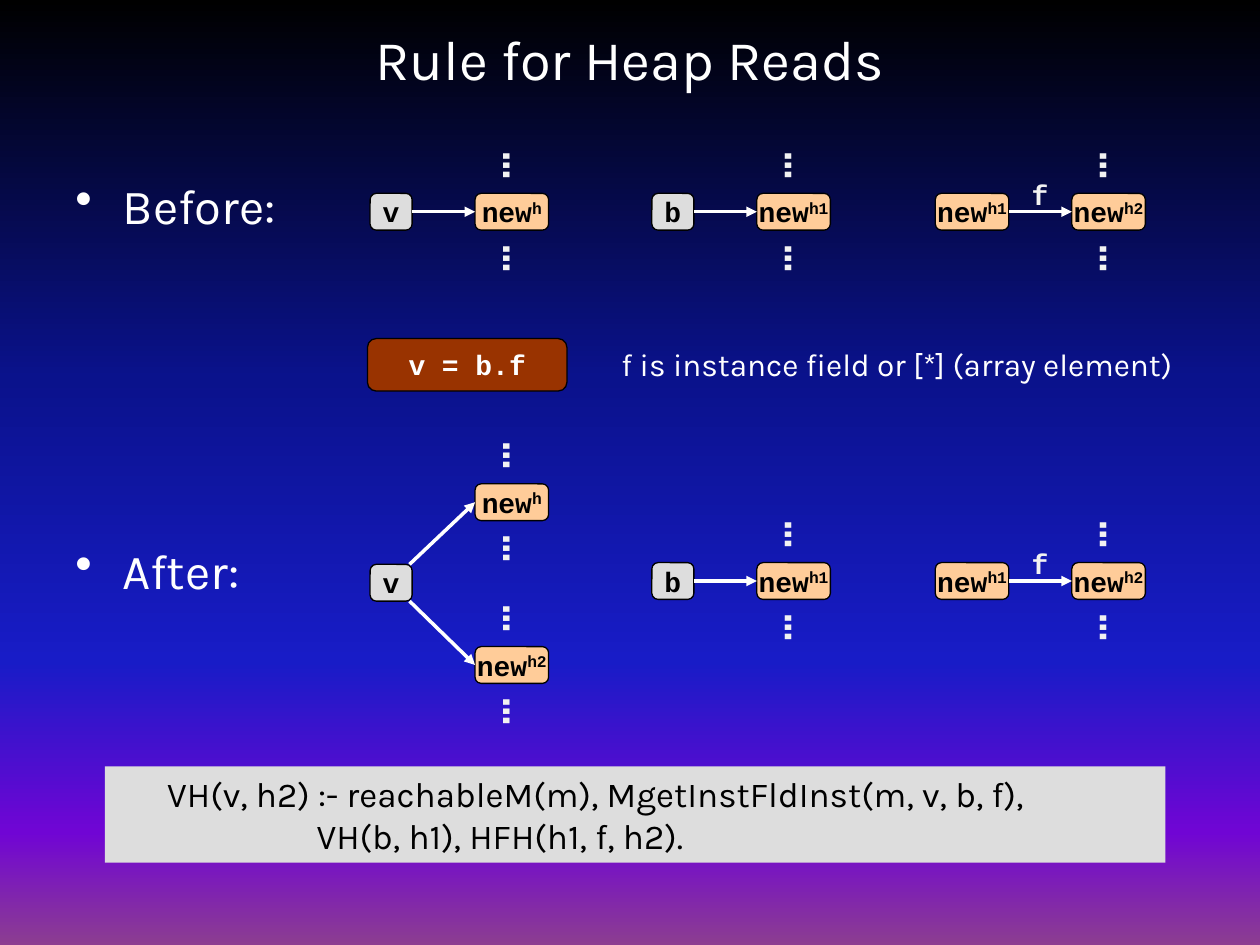
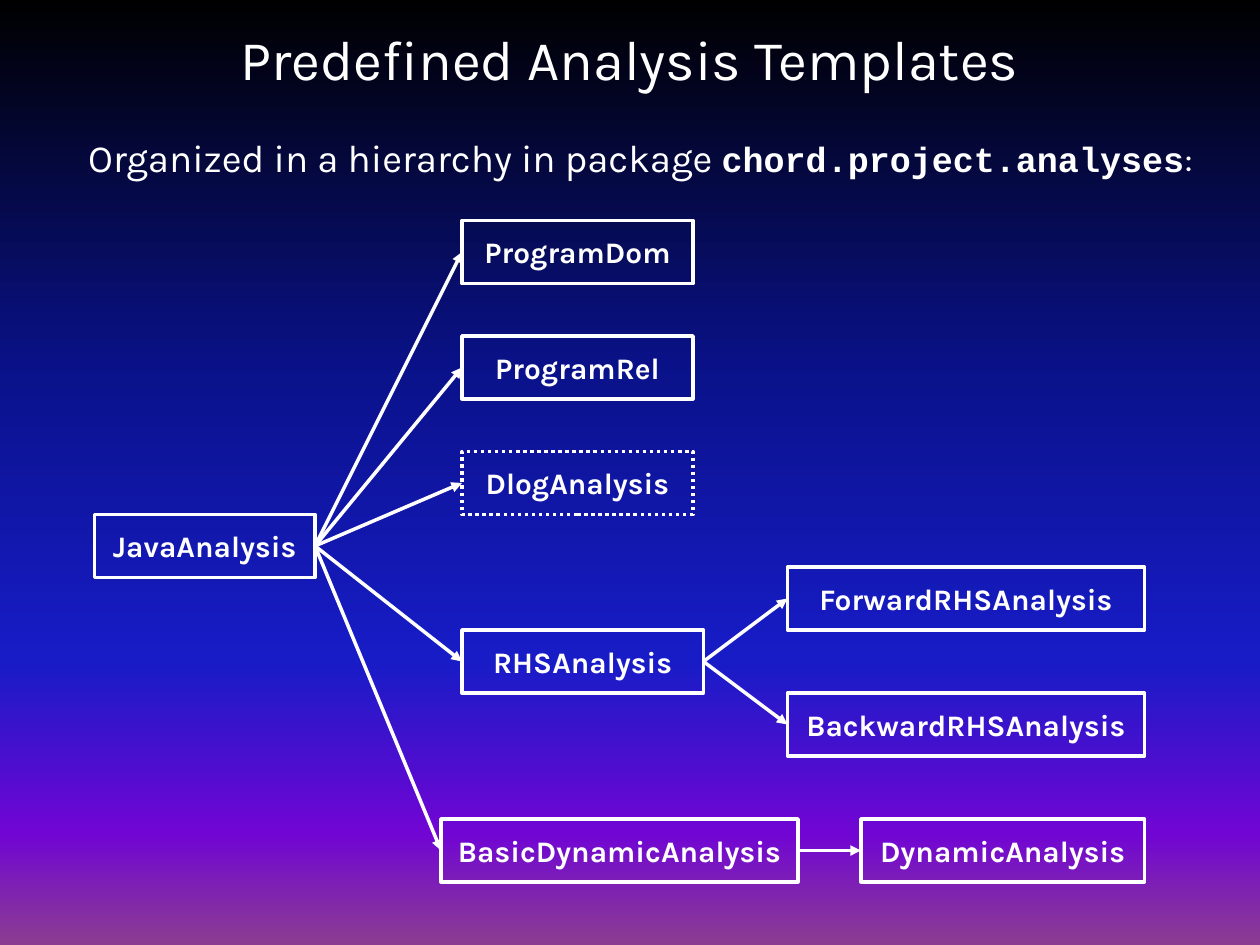
from lxml.etree import SubElement
from pptx import Presentation
from pptx.dml.color import RGBColor
from pptx.enum.dml import MSO_LINE
from pptx.enum.shapes import MSO_CONNECTOR, MSO_SHAPE
from pptx.enum.text import MSO_ANCHOR, PP_ALIGN
from pptx.oxml.ns import qn
from pptx.util import Pt

COLORS = {
    "white": "FFFFFF", "black": "000000", "soft": "F2F2F2", "grey": "DDDDDD",
    "peach": "FFCC99", "rust": "993300",
}
BACKDROP = [(0, "000000"), (40, "0A128C"), (70, "181CC7"), (88, "7005D4"), (100, "8C3D91")]
SANS, CODE = "Karla", "Courier New"
TOP, LEFT, BOTTOM, RIGHT = range(4)
NODE_HEIGHT, VARIABLE_WIDTH, OBJECT_WIDTH, ARROW_LENGTH = 21, 24, 42, 36


def color(name):
    return RGBColor.from_string(COLORS[name])


# Shared parts
def paint_backdrop(master):
    fill = master.background.fill
    fill.gradient()
    gradient = master.element.find(".//" + qn("a:gradFill"))
    for child in list(gradient):
        gradient.remove(child)
    stops = SubElement(gradient, qn("a:gsLst"))
    for percent, shade in BACKDROP:
        stop = SubElement(stops, qn("a:gs"), pos=str(percent * 1000))
        SubElement(stop, qn("a:srgbClr"), val=shade)
    SubElement(gradient, qn("a:lin"), ang="5400000", scaled="0")


def write(para, text, size=16, font=CODE, shade="white", bold=False, raised=False, align=None):
    """Add one span of text to a paragraph."""
    span = para.add_run()
    span.text = text
    span.font.size = Pt(size)
    span.font.name = font
    span.font.bold = bold
    span.font.color.rgb = color(shade)
    if raised:
        span._r.get_or_add_rPr().set("baseline", "30000")
    if align is not None:
        para.alignment = align


def add_text_box(page, left, top, width, height, anchor=MSO_ANCHOR.TOP):
    box = page.shapes.add_textbox(Pt(left), Pt(top), Pt(width), Pt(height))
    box.text_frame.word_wrap = True
    box.text_frame.vertical_anchor = anchor
    return box


def add_block(page, left, top, width, height, kind=MSO_SHAPE.RECTANGLE,
              fill=None, line=None, line_width=0.75):
    box = page.shapes.add_shape(kind, Pt(left), Pt(top), Pt(width), Pt(height))
    box.shadow.inherit = False
    box.text_frame.word_wrap = False
    box.text_frame.vertical_anchor = MSO_ANCHOR.MIDDLE
    if fill:
        box.fill.solid()
        box.fill.fore_color.rgb = color(fill)
    else:
        box.fill.background()
    if line:
        box.line.color.rgb = color(line)
        box.line.width = Pt(line_width)
    else:
        box.line.fill.background()
    return box


def add_arrow(page, target, source=None, start=(0, 0)):
    """Run from the source's right side, or a free point, to the target's left side."""
    x, y = start
    arrow = page.shapes.add_connector(MSO_CONNECTOR.STRAIGHT, Pt(x), Pt(y), Pt(x), Pt(y))
    if source is not None:
        arrow.begin_connect(source, RIGHT)
    arrow.end_connect(target, LEFT)
    arrow.line.color.rgb = color("white")
    arrow.line.width = Pt(2)
    SubElement(arrow.line._get_or_add_ln(), qn("a:tailEnd"), type="triangle")
    SubElement(arrow._element.spPr, qn("a:effectLst"))


def add_page(deck, title):
    page = deck.slides.add_slide(deck.slide_layouts[6])
    box = add_text_box(page, 0, 6, 720, 54, MSO_ANCHOR.MIDDLE)
    write(box.text_frame.paragraphs[0], title, size=32, font=SANS, align=PP_ALIGN.CENTER)
    return page


# Points-to diagrams
def add_node(page, left, middle, name, heap=""):
    width, fill = (OBJECT_WIDTH, "peach") if heap else (VARIABLE_WIDTH, "grey")
    node = add_block(page, left, middle - NODE_HEIGHT / 2, width, NODE_HEIGHT,
                     MSO_SHAPE.ROUNDED_RECTANGLE, fill, "black")
    para = node.text_frame.paragraphs[0]
    write(para, name, shade="black", bold=True, align=PP_ALIGN.CENTER)
    if heap:
        write(para, heap, shade="black", bold=True, raised=True)
    return node


def add_object_in_set(page, left, middle, heap):
    """A heap object with vertical dots above and below it."""
    node = add_node(page, left, middle, "new", heap)
    for offset in (-23, 30):
        dots = add_text_box(page, left + OBJECT_WIDTH / 2 - 13, middle + offset - 18.5, 36, 37)
        dots.rotation = 90
        write(dots.text_frame.paragraphs[0], "…", size=25, shade="soft", bold=True)
    return node


def add_points_to(page, left, middle, name, target_heap, source_heap="", field=""):
    source = add_node(page, left, middle, name, source_heap)
    arrow_left = left + (OBJECT_WIDTH if source_heap else VARIABLE_WIDTH)
    target = add_object_in_set(page, arrow_left + ARROW_LENGTH, middle, target_heap)
    add_arrow(page, target, source)
    if field:
        label = add_text_box(page, arrow_left + 6, middle - 23, 30, 27)
        write(label.text_frame.paragraphs[0], field, shade="soft", bold=True)


def add_unchanged_facts(page, left, middle):
    add_points_to(page, left, middle, "b", "h1")
    add_points_to(page, left + 162, middle, "new", "h2", source_heap="h1", field="f")


def add_split(page, left, middle):
    """One variable that points to two objects."""
    add_node(page, left, middle + 1, "v")
    for heap, side, offset in (("h", -1, -45), ("h2", 1, 48)):
        target = add_object_in_set(page, left + 60, middle + offset, heap)
        add_arrow(page, target, start=(left + 22.5, middle + 1 + side * 10.5))


def add_stage_list(page, left, top):
    frame = add_text_box(page, left, top, 156, 318).text_frame
    for index, stage in enumerate(("Before:", "After:")):
        para = frame.add_paragraph() if index else frame.paragraphs[0]
        properties = para._p.get_or_add_pPr()
        properties.set("marL", str(Pt(27)))
        properties.set("indent", str(Pt(-27)))
        bullet_color = SubElement(properties, qn("a:buClr"))
        SubElement(bullet_color, qn("a:srgbClr"), val=COLORS["white"])
        SubElement(properties, qn("a:buChar"), char="•")
        if index:
            para.space_before = Pt(175)
        write(para, stage, size=28, font=SANS)


def add_statement(page, left, top):
    box = add_block(page, left, top, 114, 30, MSO_SHAPE.ROUNDED_RECTANGLE, "rust", "black")
    write(box.text_frame.paragraphs[0], "v = b.f", bold=True, align=PP_ALIGN.CENTER)
    note = add_text_box(page, left + 138, top, 342, 29)
    write(note.text_frame.paragraphs[0], "f is instance field or [*] (array element)",
          size=18, font=SANS)


def add_rule(page, left, top):
    box = add_block(page, left, top, 606, 55, fill="grey")
    box.text_frame.word_wrap = True
    box.text_frame.vertical_anchor = MSO_ANCHOR.TOP
    para = box.text_frame.paragraphs[0]
    style = dict(size=20, font=SANS, shade="black", align=PP_ALIGN.LEFT)
    write(para, "      VH(v, h2) :- reachableM(m), MgetInstFldInst(m, v, b, f),", **style)
    para.add_line_break()
    write(para, "                        VH(b, h1), HFH(h1, f, h2).", **style)


def build_heap_reads(deck):
    page = add_page(deck, "Rule for Heap Reads")
    before, after = 121, 332
    add_points_to(page, 211.5, before, "v", "h")
    add_split(page, 211.5, after)
    for middle in (before, after):
        add_unchanged_facts(page, 372.5, middle)
    add_statement(page, 210, 193.5)
    add_stage_list(page, 36, 96.5)
    add_rule(page, 60, 438)


# Class hierarchy
CLASSES = {  # name: (left, top, width, parent), relative to the diagram
    "JavaAnalysis": (0, 168, 126, None),
    "ProgramDom": (210, 0, 132, "JavaAnalysis"),
    "ProgramRel": (210, 66, 132, "JavaAnalysis"),
    "DlogAnalysis": (210, 132, 132, "JavaAnalysis"),
    "RHSAnalysis": (210, 234, 138, "JavaAnalysis"),
    "ForwardRHSAnalysis": (396, 198, 204, "RHSAnalysis"),
    "BackwardRHSAnalysis": (396, 270, 204, "RHSAnalysis"),
    "BasicDynamicAnalysis": (198, 342, 204, "JavaAnalysis"),
    "DynamicAnalysis": (438, 342, 162, "BasicDynamicAnalysis"),
}


def add_hierarchy(page, left, top):
    boxes = {}
    for name, (x, y, width, parent) in CLASSES.items():
        box = add_block(page, left + x, top + y, width, 36, line="white", line_width=2)
        write(box.text_frame.paragraphs[0], name, size=17, font=SANS, bold=True,
              align=PP_ALIGN.CENTER)
        boxes[name] = box
        if parent:
            add_arrow(page, box, boxes[parent])
    boxes["DlogAnalysis"].line.dash_style = MSO_LINE.ROUND_DOT


def add_lead(page, left, top):
    para = add_text_box(page, left, top, 672, 42).text_frame.paragraphs[0]
    para.line_spacing = 0.8
    write(para, "Organized in a hierarchy in package ", size=22, font=SANS,
          align=PP_ALIGN.CENTER)
    write(para, "chord.project.analyses", size=20, bold=True)
    write(para, ":", size=20, font=SANS)


def build_templates(deck):
    page = add_page(deck, "Predefined Analysis Templates")
    add_lead(page, 30, 78)
    add_hierarchy(page, 54, 126)


def main():
    deck = Presentation()
    deck.slide_width, deck.slide_height = Pt(720), Pt(540)
    paint_backdrop(deck.slide_master)
    build_heap_reads(deck)
    build_templates(deck)
    deck.save("out.pptx")


if __name__ == "__main__":
    main()
